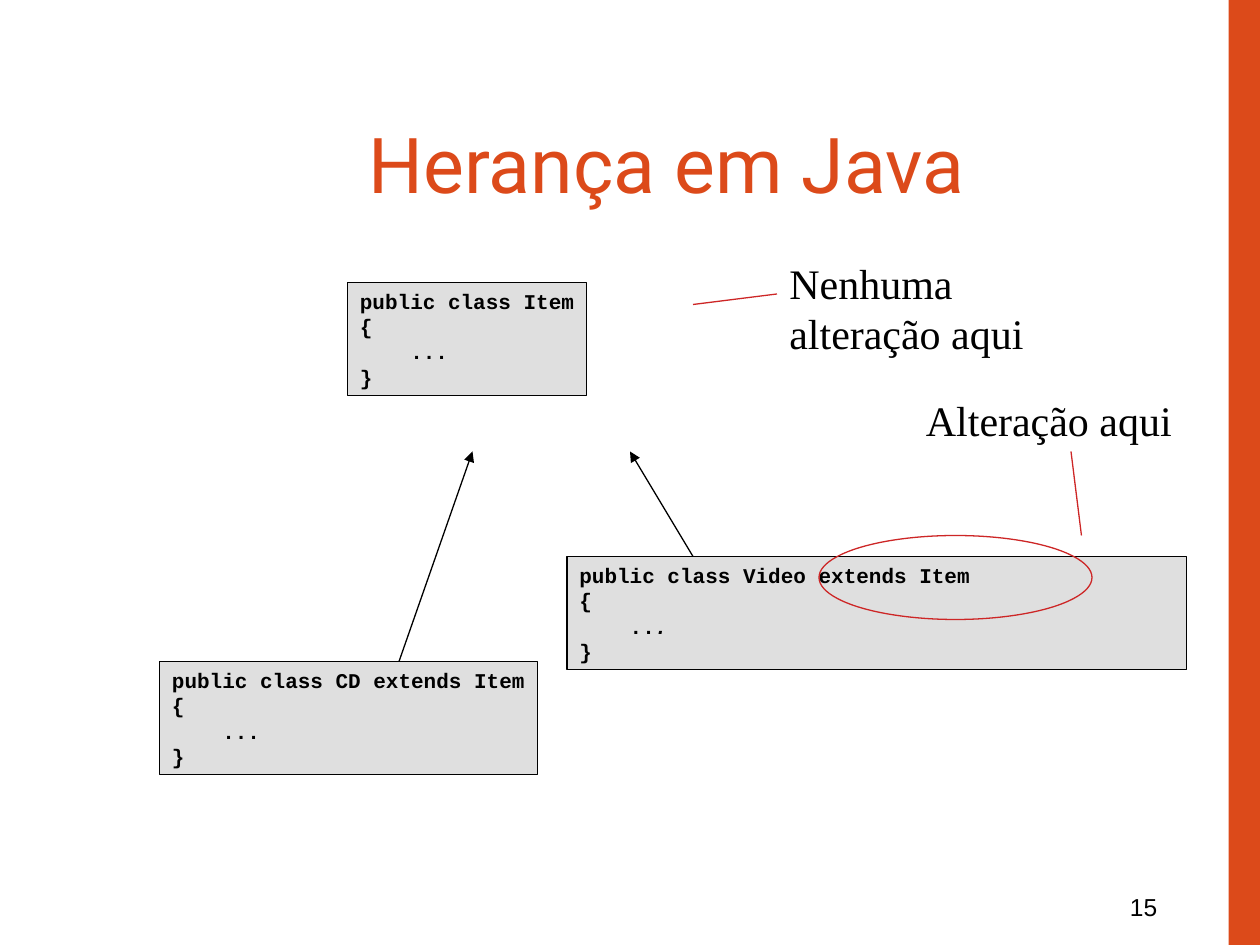
import pptx
import pptx.util
import pptx.dml.color
import pptx.enum.shapes
import pptx.enum.text
import pptx.oxml.ns
import lxml.etree

ORANGE = pptx.dml.color.RGBColor(0xDC, 0x4A, 0x1A)
RED = pptx.dml.color.RGBColor(0xCD, 0x26, 0x26)
GREY = pptx.dml.color.RGBColor(0xDF, 0xDF, 0xDF)
BLACK = pptx.dml.color.RGBColor(0, 0, 0)

SHAPES = pptx.enum.shapes.MSO_SHAPE
ALIGN = pptx.enum.text.PP_ALIGN
ANCHOR = pptx.enum.text.MSO_ANCHOR


class SlideBuilder:
    columns, rows = 120, 90
    line_width = pptx.util.Pt(0.75)

    def __init__(self, deck):
        self.cell_width = deck.slide_width / self.columns
        self.cell_height = deck.slide_height / self.rows
        self.slide = deck.slides.add_slide(deck.slide_layouts[5])
        self.shapes = self.slide.shapes

    def place(self, column, row, width, height):
        return (round(column * self.cell_width), round(row * self.cell_height),
                round(width * self.cell_width), round(height * self.cell_height))

    def fill_text(self, frame, text, font, size, color=BLACK, align=ALIGN.LEFT,
                  anchor=ANCHOR.TOP, bold=False, spacing=None, wrap=True):
        frame.word_wrap = wrap
        frame.vertical_anchor = anchor
        frame.text = text
        for para in frame.paragraphs:
            para.alignment = align
            if spacing:
                para.line_spacing = pptx.util.Pt(spacing)
            for span in para.runs:
                span.font.name = font
                span.font.size = pptx.util.Pt(size)
                span.font.bold = bold
                span.font.color.rgb = color

    def title(self, area, text):
        box = self.shapes.title
        box.left, box.top, box.width, box.height = self.place(*area)
        self.fill_text(box.text_frame, text, "Roboto", 44, ORANGE,
                       ALIGN.CENTER, ANCHOR.MIDDLE)

    def text(self, area, text, font, size, **style):
        box = self.shapes.add_textbox(*self.place(*area))
        self.fill_text(box.text_frame, text, font, size, **style)

    def note(self, area, text):
        self.text(area, text, "Times New Roman", 24, spacing=28.6)

    def shape(self, kind, area, fill=None, line=None):
        shape = self.shapes.add_shape(kind, *self.place(*area))
        shape.shadow.inherit = False
        if fill is None:
            shape.fill.background()
        else:
            shape.fill.solid()
            shape.fill.fore_color.rgb = fill
        if line is None:
            shape.line.fill.background()
        else:
            shape.line.color.rgb = line
            shape.line.width = self.line_width
        return shape

    def code(self, area, declaration, wrap=False):
        box = self.shape(SHAPES.RECTANGLE, area, GREY, BLACK)
        self.fill_text(box.text_frame, declaration + "\n{\n    ...\n}", "Courier New", 12,
                       bold=True, spacing=14.4, wrap=wrap)
        return box

    def line(self, start, end, color, arrow=False):
        begin_x, begin_y, end_x, end_y = self.place(*start, *end)
        line = self.shapes.add_connector(
            pptx.enum.shapes.MSO_CONNECTOR.STRAIGHT, begin_x, begin_y, end_x, end_y)
        line.line.color.rgb = color
        line.line.width = self.line_width
        properties = line._element.spPr
        if arrow:
            outline = properties.find(pptx.oxml.ns.qn("a:ln"))
            lxml.etree.SubElement(outline, pptx.oxml.ns.qn("a:tailEnd"), type="triangle")
        lxml.etree.SubElement(properties, pptx.oxml.ns.qn("a:effectLst"))


def main():
    deck = pptx.Presentation()
    deck.slide_width = pptx.util.Inches(10)
    deck.slide_height = pptx.util.Inches(7.5)
    page = SlideBuilder(deck)

    page.text((104.4, 84.4, 7, 4), "15", "Arial", 14, align=ALIGN.RIGHT)
    page.shape(SHAPES.RECTANGLE, (117, 0, 3, 90), ORANGE)
    page.title((13, 8, 101, 15), "Herança em Java")

    page.code((33.1, 26.9, 22.8, 10.8), "public class Item")
    page.code((15.2, 63, 36, 10.8), "public class CD extends Item")
    video = page.code((54, 53, 59, 10.8), "public class Video extends Item", wrap=True)
    dots = video.text_frame.paragraphs[2]
    dots.runs[0].text = "    .."
    last_dot = dots.add_run()
    last_dot.text = "."
    last_dot.font.name = "Courier New"
    last_dot.font.size = pptx.util.Pt(12)
    last_dot.font.bold = True
    last_dot.font.italic = True
    last_dot.font.color.rgb = BLACK

    page.line((38, 63), (45, 43), BLACK, arrow=True)
    page.line((66, 53), (60, 43), BLACK, arrow=True)
    page.shape(SHAPES.OVAL, (78, 51, 26, 8), line=RED)

    page.note((74, 24, 30.7, 10.8), "Nenhuma alteração aqui")
    page.note((87, 37, 27, 6), "Alteração aqui")
    page.line((74, 28), (66, 29), RED)
    page.line((102, 43), (103, 51), RED)

    deck.save("out.pptx")


if __name__ == "__main__":
    main()
